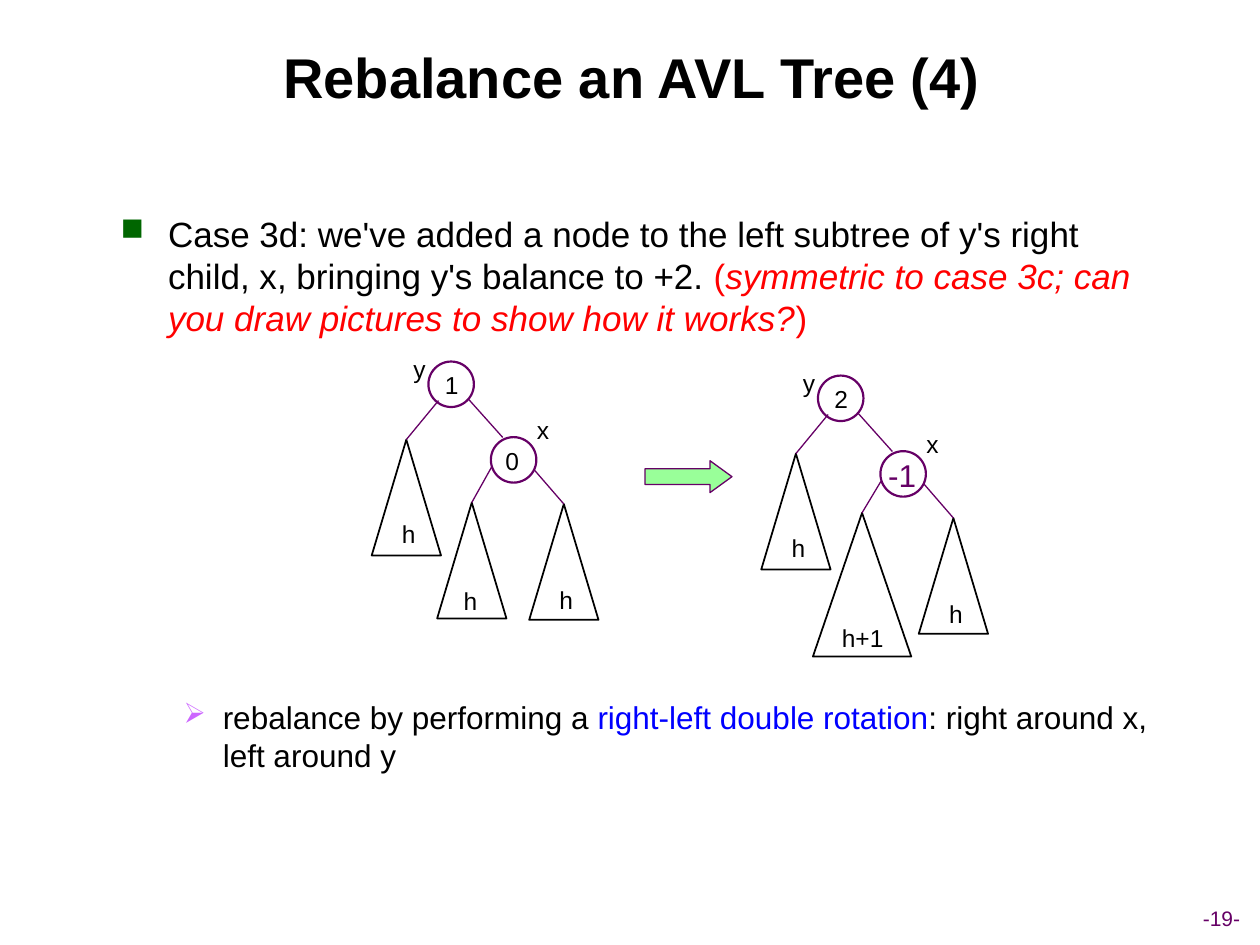
from typing import NamedTuple

from lxml.etree import SubElement
from pptx import Presentation
from pptx.dml.color import RGBColor
from pptx.enum.shapes import MSO_CONNECTOR, MSO_SHAPE
from pptx.enum.text import MSO_ANCHOR, MSO_AUTO_SIZE, PP_ALIGN
from pptx.oxml.ns import qn
from pptx.util import Pt

FONT = "Arial"
BLACK, PURPLE, RED, BLUE = "000000", "660066", "FF0000", "0000FF"
NODE_SIZE = 26


class Run(NamedTuple):
    text: str
    color: str = BLACK
    italic: bool = False


class Bullet(NamedTuple):
    character: str
    color: str
    indent: float


class Label(NamedTuple):
    text: str
    center_x: float
    center_y: float
    size: float = 14
    color: str = BLACK


class Subtree(NamedTuple):
    """Triangle, its height label, and the start of the edge to its apex."""
    left: float
    top: float
    edge_x: float
    edge_y: float
    label: Label
    width: float = 39.6
    height: float = 66.2


class Tree(NamedTuple):
    left: float
    top: float
    subtrees: list[Subtree]
    labels: list[Label]


LEFT_SUBTREE = Subtree(-32.4, 44.6, 5.8, 22.3, Label("h", -11.2, 98.6))
RIGHT_SUBTREE = Subtree(57.6, 81.4, 60.5, 61.9, Label("h", 78.8, 136))
NODE_NAMES = [Label("y", -5, 4.3), Label("x", 65.5, 38.9)]
NODES = [(0, 0), (35.7, 43.2)]

TREES = [
    Tree(244.8, 206.6,
         [LEFT_SUBTREE,
          Subtree(5, 80.6, 36, 60.5, Label("h", 24.1, 136.8)),
          RIGHT_SUBTREE],
         NODE_NAMES + [Label("1", 13.3, 13), Label("0", 47.9, 56.9)]),
    Tree(467.4, 214.6,
         [LEFT_SUBTREE,
          Subtree(-2.9, 78.5, 36, 60.5, Label("h+1", 25.6, 149.8), 56.2, 82.1),
          RIGHT_SUBTREE],
         NODE_NAMES + [Label("2", 13.3, 13),
                       Label("-1", 48.2, 56.9, 18, PURPLE)]),
]


def rgb(color: str) -> RGBColor:
    return RGBColor.from_string(color)


def add_bullet(paragraph, bullet: Bullet) -> None:
    properties = paragraph._p.get_or_add_pPr()
    properties.set("marL", str(Pt(bullet.indent)))
    properties.set("indent", str(-Pt(bullet.indent)))
    color = SubElement(properties, qn("a:buClr"))
    SubElement(color, qn("a:srgbClr"), val=bullet.color)
    SubElement(properties, qn("a:buSzPct"), val="90000")
    SubElement(properties, qn("a:buChar"), char=bullet.character)


def add_text(slide, runs: list[Run], left: float, top: float, width: float,
             height: float, *, size: float = 14, bold: bool = False,
             align=PP_ALIGN.CENTER, anchor=MSO_ANCHOR.MIDDLE,
             wrap: bool = True, bullet: Bullet | None = None) -> None:
    box = slide.shapes.add_textbox(Pt(left), Pt(top), Pt(width), Pt(height))
    frame = box.text_frame
    frame.word_wrap = wrap
    frame.auto_size = MSO_AUTO_SIZE.NONE
    frame.vertical_anchor = anchor
    paragraph = frame.paragraphs[0]
    paragraph.alignment = align
    if bullet:
        add_bullet(paragraph, bullet)
    for item in runs:
        run = paragraph.add_run()
        run.text = item.text
        run.font.name = FONT
        run.font.size = Pt(size)
        run.font.bold = bold
        run.font.italic = item.italic
        run.font.color.rgb = rgb(item.color)


def add_label(slide, label: Label, left: float, top: float) -> None:
    width, height = 30, 24
    add_text(slide, [Run(label.text, label.color)],
             left + label.center_x - width / 2,
             top + label.center_y - height / 2,
             width, height, size=label.size, wrap=False)


def add_outline(slide, kind, left: float, top: float, width: float,
                height: float, color: str, weight: float,
                fill: str | None = None):
    """Add a preset shape, unfilled unless a fill is given."""
    shape = slide.shapes.add_shape(kind, Pt(left), Pt(top), Pt(width), Pt(height))
    shape.shadow.inherit = False
    if fill:
        shape.fill.solid()
        shape.fill.fore_color.rgb = rgb(fill)
    else:
        shape.fill.background()
    shape.line.color.rgb = rgb(color)
    shape.line.width = Pt(weight)
    return shape


def add_edge(slide, start_x: float, start_y: float, end_x: float, end_y: float):
    edge = slide.shapes.add_connector(
        MSO_CONNECTOR.STRAIGHT, Pt(start_x), Pt(start_y), Pt(end_x), Pt(end_y))
    edge.line.color.rgb = rgb(PURPLE)
    edge.line.width = Pt(0.75)
    SubElement(edge._element.spPr, qn("a:effectLst"))
    return edge


def draw_tree(slide, tree: Tree) -> None:
    left, top = tree.left, tree.top
    for subtree in tree.subtrees:
        triangle = add_outline(
            slide, MSO_SHAPE.ISOSCELES_TRIANGLE, left + subtree.left,
            top + subtree.top, subtree.width, subtree.height, BLACK, 1)
        edge = add_edge(slide, left + subtree.edge_x, top + subtree.edge_y,
                        left + subtree.left + subtree.width / 2,
                        top + subtree.top)
        edge.end_connect(triangle, 0)
        add_label(slide, subtree.label, left, top)
    for x, y in NODES:
        add_outline(slide, MSO_SHAPE.OVAL, left + x, top + y,
                    NODE_SIZE, NODE_SIZE, PURPLE, 1.25)
    add_edge(slide, left + 23, top + 21.6, left + 42.5, top + 43.4)
    for label in tree.labels:
        add_label(slide, label, left, top)


def main() -> None:
    presentation = Presentation()
    presentation.slide_width, presentation.slide_height = Pt(720), Pt(540)
    slide = presentation.slides.add_slide(presentation.slide_layouts[6])

    add_text(slide, [Run("-19-", PURPLE)], 659.5, 514, 77, 21.6,
             size=12, wrap=False)
    add_text(slide, [Run("Rebalance an AVL Tree (4)")], 27.4, 9.4, 667.4, 68.4,
             size=32, bold=True)
    add_text(slide, [
        Run("Case 3d: we've added a node to the left subtree of y's right "
            "child, x, bringing y's balance to +2. "),
        Run("(", RED),
        Run("symmetric to case 3c; can you draw pictures to show how it works?",
            RED, True),
        Run(")", RED),
    ], 61.9, 117.9, 603.4, 80, size=20, align=PP_ALIGN.LEFT,
        anchor=MSO_ANCHOR.TOP, bullet=Bullet("■", "006600", 27))

    for tree in TREES:
        draw_tree(slide, tree)
    arrow = add_outline(slide, MSO_SHAPE.RIGHT_ARROW, 368.6, 263.3, 49.7, 18.2,
                        PURPLE, 0.75, "99FF99")
    arrow.adjustments[1] = 0.69

    add_text(slide, [
        Run("rebalance by performing a "),
        Run("right-left double rotation", BLUE),
        Run(": right around x, left around y"),
    ], 97.9, 395.2, 567.4, 52, size=18, align=PP_ALIGN.LEFT,
        anchor=MSO_ANCHOR.TOP, bullet=Bullet("➢", "CC66FF", 22.3))

    presentation.save("out.pptx")


if __name__ == "__main__":
    main()
